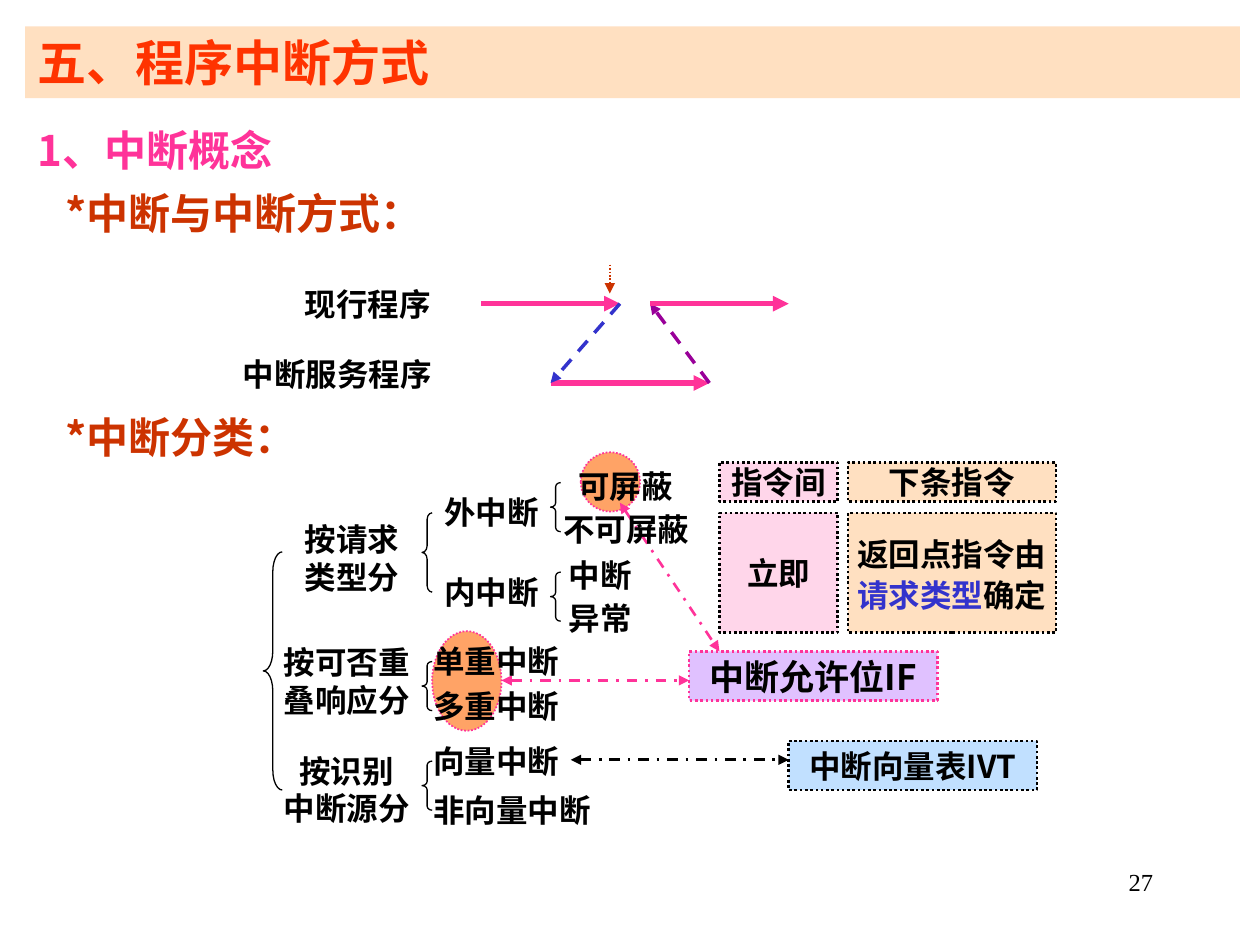
from dataclasses import dataclass
from typing import Optional

from lxml.etree import SubElement
from pptx import Presentation
from pptx.dml.color import RGBColor
from pptx.enum.dml import MSO_LINE as Dash
from pptx.enum.shapes import MSO_CONNECTOR as Connector, MSO_SHAPE as Preset
from pptx.enum.text import MSO_ANCHOR as Anchor, PP_ALIGN as Align
from pptx.oxml.ns import qn
from pptx.util import Inches, Pt

COLUMNS, ROWS = 100, 75
SLIDE_WIDTH, SLIDE_HEIGHT = Inches(10), Inches(7.5)
CJK, SERIF = "Noto Sans CJK SC", "Times New Roman"
COLORS = {
    "black": "000000", "title": "FF3300", "pink": "FF3399", "rust": "CC3300",
    "blue": "3333CC", "purple": "990099", "rose": "FF99CC", "peach": "FFCC99",
    "sky": "99CCFF", "lilac": "CC99FF", "orange": "FF6600",
}


@dataclass(frozen=True)
class Span:
    text: str
    color: str = "black"


@dataclass(frozen=True)
class Line:
    spans: tuple[Span, ...]
    spacing: Optional[float] = None
    indent: float = 0


@dataclass(frozen=True)
class Area:
    col: float
    row: float
    cols: float
    rows: float


@dataclass(frozen=True)
class Panel:
    area: Area
    lines: tuple[Line, ...] = ()
    fill: Optional[str] = None
    opacity: int = 60
    border: Optional[str] = None
    border_width: float = 1.5
    preset: Preset = Preset.RECTANGLE
    size: int = 18
    align: Align = Align.CENTER
    anchor: Anchor = Anchor.MIDDLE
    insets: tuple[float, float] = (0.02, 0.01)
    font: str = CJK
    bold: bool = True


@dataclass(frozen=True)
class Arrow:
    start: tuple[float, float]
    end: tuple[float, float]
    color: str
    width: float
    dash: Optional[Dash] = None
    both_ends: bool = False


def across(cols: float) -> int:
    return round(SLIDE_WIDTH * cols / COLUMNS)


def down(rows: float) -> int:
    return round(SLIDE_HEIGHT * rows / ROWS)


def bounds(area: Area) -> tuple[int, int, int, int]:
    return across(area.col), down(area.row), across(area.cols), down(area.rows)


def rgb(name: str) -> RGBColor:
    return RGBColor.from_string(COLORS[name])


def plain(*texts: str) -> tuple[Line, ...]:
    return tuple(Line((Span(text),)) for text in texts)


def heading(text: str, color: str, indent: float = 0) -> Line:
    return Line((Span(text, color),), 1.25, indent)


def write_lines(frame, panel: Panel) -> None:
    frame.word_wrap = True
    frame.vertical_anchor = panel.anchor
    side, edge = panel.insets
    frame.margin_left = frame.margin_right = Inches(side)
    frame.margin_top = frame.margin_bottom = Inches(edge)
    for index, line in enumerate(panel.lines):
        paragraph = frame.add_paragraph() if index else frame.paragraphs[0]
        paragraph.alignment = panel.align
        if line.spacing:
            paragraph.line_spacing = line.spacing
        if line.indent:
            paragraph._p.get_or_add_pPr().set("marL", str(across(line.indent)))
        for span in line.spans:
            run = paragraph.add_run()
            run.text = span.text
            run.font.size, run.font.bold = Pt(panel.size), panel.bold
            run.font.name = panel.font
            run.font.color.rgb = rgb(span.color)
            SubElement(run.font._element, qn("a:ea"), typeface=panel.font)


def draw_panel(slide, panel: Panel) -> None:
    if panel.fill is None:
        shape = slide.shapes.add_textbox(*bounds(panel.area))
    else:
        shape = slide.shapes.add_shape(panel.preset, *bounds(panel.area))
        shape.shadow.inherit = False
        shape.fill.solid()
        shape.fill.fore_color.rgb = rgb(panel.fill)
        tint = shape._element.spPr.find(qn("a:solidFill"))[0]
        SubElement(tint, qn("a:alpha"), val=str(panel.opacity * 1000))
        if panel.border:
            shape.line.color.rgb = rgb(panel.border)
            shape.line.width = Pt(panel.border_width)
            shape.line.dash_style = Dash.ROUND_DOT
        else:
            shape.line.fill.background()
    if panel.lines:
        write_lines(shape.text_frame, panel)


def draw_arrow(slide, arrow: Arrow) -> None:
    (x1, y1), (x2, y2) = arrow.start, arrow.end
    link = slide.shapes.add_connector(
        Connector.STRAIGHT, across(x1), down(y1), across(x2), down(y2))
    link.line.color.rgb = rgb(arrow.color)
    link.line.width = Pt(arrow.width)
    if arrow.dash:
        link.line.dash_style = arrow.dash
    outline = link.line._get_or_add_ln()
    for end in ("a:headEnd", "a:tailEnd") if arrow.both_ends else ("a:tailEnd",):
        SubElement(outline, qn(end), type="triangle")
    SubElement(link._element.spPr, qn("a:effectLst"))


def draw_brace(slide, area: Area) -> None:
    brace = slide.shapes.add_shape(Preset.LEFT_BRACE, *bounds(area))
    brace.shadow.inherit = False
    brace.fill.background()
    brace.line.color.rgb = rgb("black")
    brace.line.width = Pt(0.75)
    brace.adjustments[0] = area.rows / 12 / area.cols


def label(area: Area, *texts: str, align: Align = Align.CENTER) -> Panel:
    return Panel(area, plain(*texts), align=align)


def banner(area: Area, *lines: Line, size: int = 24, fill: Optional[str] = None) -> Panel:
    return Panel(area, lines, fill, size=size, align=Align.LEFT,
                 anchor=Anchor.TOP, insets=(0.1, 0.05))


def timing(col: int, row: int, *lines: Line) -> Panel:
    left, width, fill, opacity = ((57.1, 9.4, "rose", 40), (67.3, 16.5, "peach", 60))[col]
    top, height = ((36.7, 3.1), (40.7, 9.5))[row]
    return Panel(Area(left, top, width, height), lines, fill, opacity, "black")


def spot(area: Area) -> Panel:
    return Panel(area, fill="orange", border="pink", border_width=1, preset=Preset.OVAL)


MAIN_ROW, SERVICE_ROW = 24.1, 30.4
CALL, SERVICE, SERVICE_END, RESUME = 49.2, 43.7, 56.3, 51.6
LEAF, LEAF_BRACE = 34.2, 33.5

ITEMS = [
    Panel(Area(71.7, 68.3, 20.8, 5), plain("27"), size=14, align=Align.RIGHT,
          anchor=Anchor.TOP, insets=(0.1, 0.05), font=SERIF, bold=False),
    banner(Area(2, 2.1, 96.4, 5.7), Line((Span("五、程序中断方式", "title"),)),
           size=28, fill="peach"),
    banner(Area(2, 8.4, 96.4, 11), heading("1、中断概念", "pink"),
           heading("*中断与中断方式：", "rust", 2.2)),
    timing(0, 0, *plain("指令间")),
    timing(1, 0, *plain("下条指令")),
    timing(0, 1, *plain("立即")),
    timing(1, 1, Line((Span("返回点指令由"),), 1.1),
           Line((Span("请求类型", "blue"), Span("确定")), 1.1)),
    Panel(Area(62.6, 58.8, 19.7, 3.9), plain("中断向量表IVT"), "sky", border="black"),
    Arrow((45.3, 60.3), (62.6, 60.3), "black", 1.5, Dash.DASH_DOT, True),
    spot(Area(34.3, 50.1, 5.5, 7.9)),
    Arrow((39.8, 54), (54.7, 54), "pink", 1.5, Dash.DASH_DOT, True),
    Panel(Area(54.7, 51.7, 19.7, 3.9), plain("中断允许位IF"), "lilac",
          border="pink", size=20),
    spot(Area(46.1, 35.9, 4.7, 4.7)),
    Arrow((49.2, 39.9), (57.1, 51.7), "pink", 1.5, Dash.DASH_DOT, True),
    banner(Area(2, 31.2, 96.4, 6), heading("*中断分类：", "rust", 2.2)),
    Arrow((38.2, MAIN_ROW), (CALL, MAIN_ROW), "pink", 3),
    Arrow((SERVICE, SERVICE_ROW), (SERVICE_END, SERVICE_ROW), "pink", 3),
    Arrow((CALL, MAIN_ROW), (SERVICE, SERVICE_ROW), "blue", 2, Dash.DASH),
    Arrow((SERVICE_END, SERVICE_ROW), (RESUME, MAIN_ROW), "purple", 2, Dash.DASH),
    Arrow((RESUME, MAIN_ROW), (62.6, MAIN_ROW), "pink", 3),
    label(Area(24, 22.5, 11, 3.2), "现行程序", align=Align.LEFT),
    label(Area(18.5, 28.1, 16.5, 3.1), "中断服务程序"),
    Arrow((48.4, 21), (48.4, 23.3), "rust", 1, Dash.ROUND_DOT),
    label(Area(23.2, 41.5, 9.5, 5.5), "按请求类型分"),
    label(Area(34.3, 39.1, 9.4, 3.1), "外中断"),
    label(Area(34.3, 45.4, 9.4, 3.1), "内中断"),
    Panel(Area(44.5, 36.7, 11, 7.1), (Line((Span("可屏蔽"),), indent=1.2),
          Line((Span("不可屏蔽"),), 1.15)), align=Align.LEFT),
    Panel(Area(44.5, 43.8, 6.3, 7.1),
          (Line((Span("中断"),)), Line((Span("异常"),), 1.15))),
    label(Area(21.6, 59.5, 11.8, 6.3), "按识别", "中断源分"),
    label(Area(LEAF, 58.8, 12.6, 3.1), "向量中断", align=Align.LEFT),
    label(Area(LEAF, 62.7, 14.2, 3.1), "非向量中断", align=Align.LEFT),
    label(Area(21.6, 50.9, 11.8, 6.3), "按可否重叠响应分"),
    label(Area(LEAF, 50.9, 12.6, 3.1), "单重中断", align=Align.LEFT),
    label(Area(LEAF, 54.8, 11.8, 2.4), "多重中断", align=Align.LEFT),
    Area(43.7, 38.3, 0.8, 3.9),
    Area(43.7, 45.4, 0.8, 3.9),
    Area(LEAF_BRACE, 40.7, 0.8, 6.3),
    Area(LEAF_BRACE, 52.5, 0.8, 3.9),
    Area(LEAF_BRACE, 60.4, 0.8, 3.9),
    Area(20.9, 43.8, 1.5, 18.9),
]
PAINTERS = {Panel: draw_panel, Arrow: draw_arrow, Area: draw_brace}


def main() -> None:
    deck = Presentation()
    deck.slide_width, deck.slide_height = SLIDE_WIDTH, SLIDE_HEIGHT
    slide = deck.slides.add_slide(deck.slide_layouts[6])
    for item in ITEMS:
        PAINTERS[type(item)](slide, item)
    deck.save("out.pptx")


if __name__ == "__main__":
    main()
